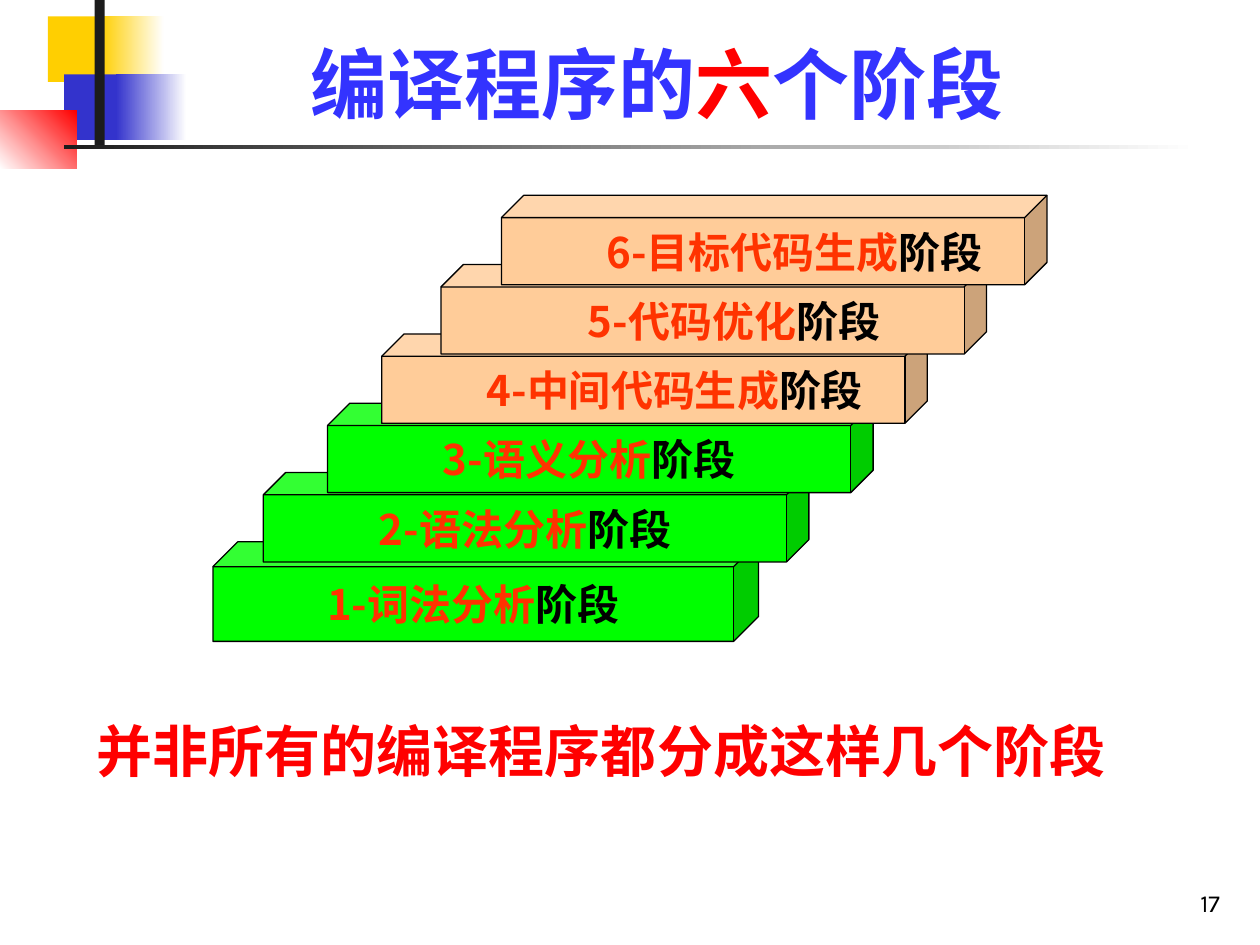
from lxml import etree
from pptx import Presentation
from pptx.dml.color import RGBColor
from pptx.enum import shapes, text
from pptx.oxml import ns
from pptx.util import Inches, Pt

COLORS = {
    "yellow": "FFCF01", "navy": "3333CC", "red": "FF0000", "white": "FFFFFF",
    "ink": "1C1C1C", "black": "000000", "title": "3333FF",
    "green": "00FF00", "peach": "FFCC99", "label": "FF3300",
}
SERIF, SANS = "Times New Roman", "Noto Sans CJK SC"


def rgb(name):
    return RGBColor.from_string(COLORS[name])


def write(box, spans, font, align, anchor, wrap=True, margin=0, indent=0):
    """Fill the only paragraph of a box with (text, colour) spans."""
    frame = box.text_frame
    frame.word_wrap = wrap
    frame.vertical_anchor = anchor
    para = frame.paragraphs[0]
    para.alignment = align
    if margin:
        properties = para._p.get_or_add_pPr()
        properties.set("marL", str(Inches(margin)))
        properties.set("indent", str(Inches(indent)))
    for words, color in spans:
        span = para.add_run()
        span.text = words
        for key, value in font.items():
            setattr(span.font, key, value)
        span.font.color.rgb = rgb(color)
        east_asian = etree.SubElement(span._r.get_or_add_rPr(), ns.qn("a:ea"))
        east_asian.set("typeface", SANS)


deck = Presentation()
deck.slide_width, deck.slide_height = Inches(10), Inches(7.5)
page = deck.slides.add_slide(deck.slide_layouts[6])

# Corner decoration: one colour is solid, two make a gradient
decoration = [
    ((0.38, 0.13, 0.67, 0.52), ["yellow"], 0),
    ((0.8, 0.13, 0.5, 0.52), ["yellow", "white"], 0),
    ((0.51, 0.59, 0.64, 0.52), ["navy"], 0),
    ((0.92, 0.59, 0.56, 0.52), ["navy", "white"], 0),
    ((0, 0.88, 0.61, 0.46), ["white", "red"], 45),
    ((0.75, 0, 0.08, 1.15), ["ink"], 0),
    ((0.51, 1.15, 9, 0.03), ["ink", "white"], 0),
]
for place, colors, angle in decoration:
    block = page.shapes.add_shape(shapes.MSO_SHAPE.RECTANGLE, *map(Inches, place))
    block.shadow.inherit = False
    block.line.fill.background()
    if len(colors) == 1:
        block.fill.solid()
        block.fill.fore_color.rgb = rgb(colors[0])
    else:
        block.fill.gradient()
        block.fill.gradient_angle = angle
        for stop, color in zip(block.fill.gradient_stops, colors):
            stop.color.rgb = rgb(color)

number = page.shapes.add_textbox(Inches(7.7), Inches(6.83), Inches(2.08), Inches(0.5))
write(number, [("17", "black")], {"size": Pt(14), "name": "Karla"},
      text.PP_ALIGN.RIGHT, text.MSO_ANCHOR.BOTTOM)

title = page.shapes.add_textbox(Inches(1.26), Inches(0.23), Inches(7.91), Inches(0.84))
write(title, [("编译程序的", "title"), ("六", "red"), ("个阶段", "title")],
      {"size": Pt(44), "name": SERIF, "bold": True},
      text.PP_ALIGN.CENTER, text.MSO_ANCHOR.BOTTOM)

# Staircase of phases, from the bottom step up
phases = [
    ("词法分析", 1.69), ("语法分析", 2.09), ("语义分析", 2.6),
    ("中间代码生成", 3.03), ("代码优化", 3.5), ("目标代码生成", 3.98),
]
for index, (phase, left) in enumerate(phases):
    height = 0.71 if index else 0.79
    step = page.shapes.add_shape(shapes.MSO_SHAPE.CUBE, Inches(left),
                                 Inches(4.3 - 0.55 * index), Inches(4.33), Inches(height))
    step.adjustments[0] = 0.25
    step.shadow.inherit = False
    step.fill.solid()
    step.fill.fore_color.rgb = rgb("green" if index < 3 else "peach")
    step.line.color.rgb = rgb("black")
    step.line.width = Pt(0.75)
    margin, indent = (0.38, -0.38) if index < 3 else (0.5, 0)
    write(step, [(f"{index + 1}-{phase}", "label"), ("阶段", "black")],
          {"size": Pt(24), "name": SANS, "bold": True},
          text.PP_ALIGN.CENTER, text.MSO_ANCHOR.MIDDLE, False, margin, indent)

remark = page.shapes.add_textbox(Inches(0.67), Inches(5.64), Inches(8.82), Inches(0.63))
write(remark, [("并非所有的编译程序都分成这样几个阶段", "red")],
      {"size": Pt(32), "name": SERIF, "bold": True},
      text.PP_ALIGN.LEFT, text.MSO_ANCHOR.TOP, True, 0.38, -0.38)

deck.save("out.pptx")
